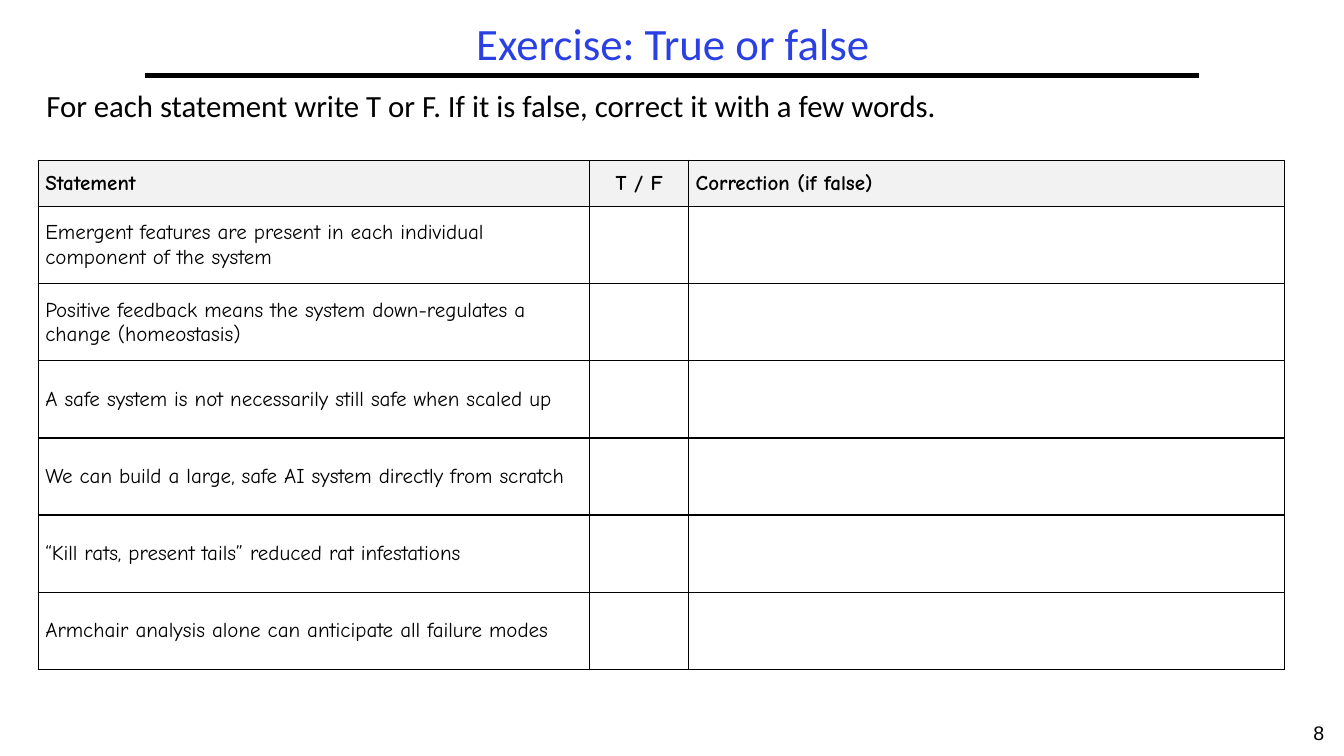
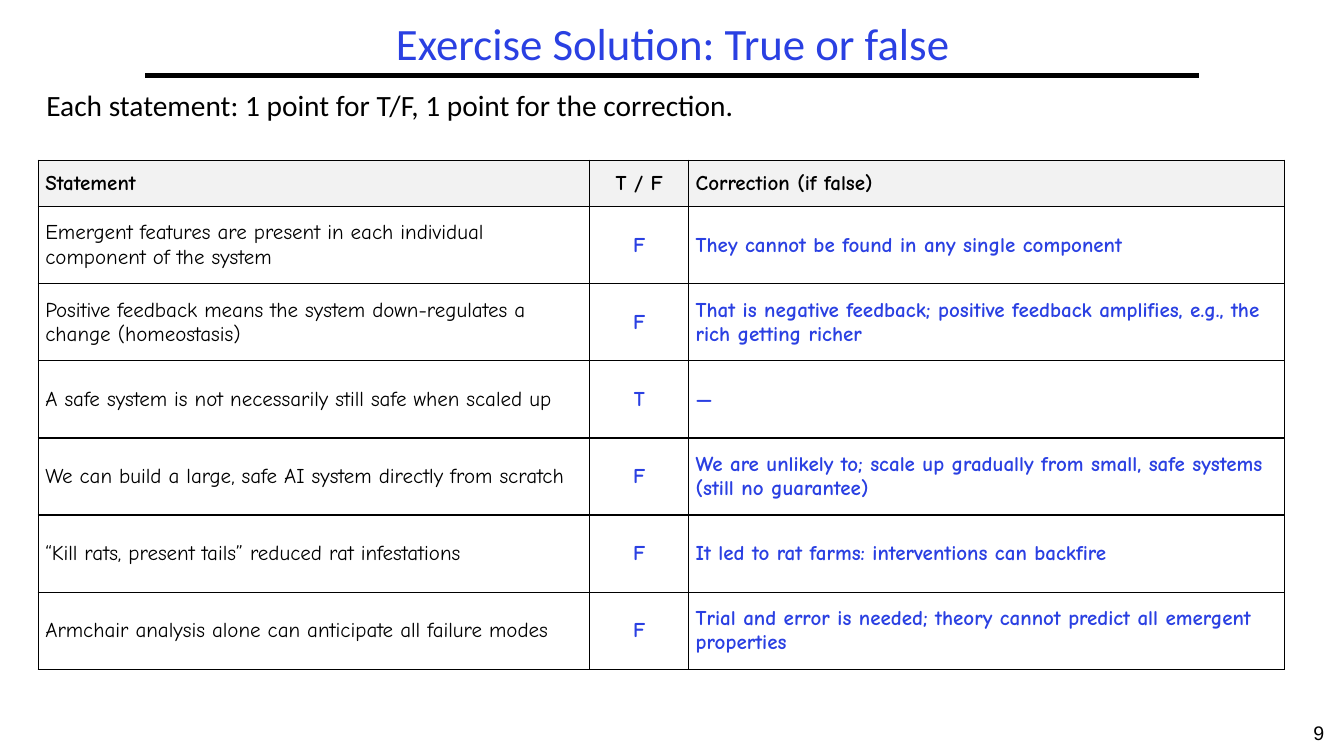
import pptx
import pptx.util
import pptx.dml.color
import pptx.enum.shapes
import pptx.enum.text
import pptx.oxml
import pptx.oxml.ns

BLUE = pptx.dml.color.RGBColor(0x2A, 0x40, 0xE2)
BLACK = pptx.dml.color.RGBColor(0, 0, 0)
WHITE = pptx.dml.color.RGBColor(255, 255, 255)
GREY = pptx.dml.color.RGBColor(0xF2, 0xF2, 0xF2)

WIDTH = pptx.util.Inches(13.33)
HEIGHT = pptx.util.Inches(7.5)
FIRST_NUMBER = 8
MIDDLE = pptx.enum.text.MSO_ANCHOR.MIDDLE
LEFT = pptx.enum.text.PP_ALIGN.LEFT
CENTER = pptx.enum.text.PP_ALIGN.CENTER

# Left, top, width and height in percent of the slide
TITLE_AREA = (10.8, 2.27, 78.54, 7.73)
BODY_AREA = (2.7, 11.33, 94.37, 9.73)
NUMBER_AREA = (96.25, 94.67, 3.75, 5.33)
TABLE_AREA = (2.85, 21.2, 92.73, 67.33)
RULE_LEFT, RULE_RIGHT, RULE_TOP = 10.8, 89.2, 10
COLUMN_SHARES = (41.04, 7.35, 44.34)
HEADER_SHARE = 6.13

HEADINGS = ("Statement", "T / F", "Correction (if false)")
EXERCISE = [
    ("Emergent features are present in each individual component of the system",
     "F", "They cannot be found in any single component"),
    ("Positive feedback means the system down-regulates a change (homeostasis)",
     "F", "That is negative feedback; positive feedback amplifies, e.g., the rich getting richer"),
    ("A safe system is not necessarily still safe when scaled up", "T", "—"),
    ("We can build a large, safe AI system directly from scratch",
     "F", "We are unlikely to; scale up gradually from small, safe systems (still no guarantee)"),
    ("“Kill rats, present tails” reduced rat infestations",
     "F", "It led to rat farms: interventions can backfire"),
    ("Armchair analysis alone can anticipate all failure modes",
     "F", "Trial and error is needed; theory cannot predict all emergent properties"),
]
# Title, instruction, instruction size, whether the answers show
PAGES = [
    ("Exercise: True or false",
     "For each statement write T or F. If it is false, correct it with a few words.", 22, False),
    ("Exercise Solution: True or false",
     "Each statement: 1 point for T/F, 1 point for the correction.", 21, True),
]


def to_lengths(area):
    """Turn percentages of the slide into left, top, width and height."""
    return [int(share * side / 100) for share, side in zip(area, (WIDTH, HEIGHT) * 2)]


def write(frame, text, face, size, color, align=LEFT, bold=False):
    """Fill a text frame with one formatted paragraph."""
    frame.text = text
    para = frame.paragraphs[0]
    para.alignment = align
    for span in para.runs:
        span.font.name = face
        span.font.size = pptx.util.Pt(size)
        span.font.color.rgb = color
        span.font.bold = bold
    return para


deck = pptx.Presentation()
deck.slide_width, deck.slide_height = WIDTH, HEIGHT
layout = deck.slide_layouts[1]
for box, area in zip(layout.placeholders, (TITLE_AREA, BODY_AREA)):
    box.left, box.top, box.width, box.height = to_lengths(area)

for number, (title, instruction, size, solved) in enumerate(PAGES, FIRST_NUMBER):
    page = deck.slides.add_slide(layout)

    rule_left, rule_top, rule_right, rule_bottom = to_lengths(
        (RULE_LEFT, RULE_TOP, RULE_RIGHT, RULE_TOP))
    rule = page.shapes.add_connector(
        pptx.enum.shapes.MSO_CONNECTOR.STRAIGHT, rule_left, rule_top, rule_right, rule_bottom)
    rule.line.color.rgb = BLACK
    rule.line.width = pptx.util.Pt(3)
    rule.element.spPr.append(pptx.oxml.parse_xml(
        f"<a:effectLst {pptx.oxml.ns.nsdecls('a')}/>"))

    number_box = page.shapes.add_textbox(*to_lengths(NUMBER_AREA))
    number_box.text_frame.word_wrap = True
    write(number_box.text_frame, str(number), "Arial", 14, BLACK, CENTER)

    title_frame = page.shapes.title.text_frame
    title_frame.vertical_anchor = MIDDLE
    title_para = write(title_frame, title, "Calibri", 32, BLUE, CENTER)

    body_frame = page.placeholders[1].text_frame
    body_para = write(body_frame, instruction, "Calibri", size, BLACK)
    body_para.space_before = pptx.util.Pt(0)
    for frame, para in ((title_frame, title_para), (body_frame, body_para)):
        frame.auto_size = pptx.enum.text.MSO_AUTO_SIZE.NONE
        para.line_spacing = 0.9
    body_format = body_para._p.get_or_add_pPr()
    body_format.set("marL", "0")
    body_format.set("indent", "0")
    body_format.append(pptx.oxml.parse_xml(f"<a:buNone {pptx.oxml.ns.nsdecls('a')}/>"))

    rows = [HEADINGS] + EXERCISE
    table = page.shapes.add_table(len(rows), len(HEADINGS), *to_lengths(TABLE_AREA)).table
    table.first_row = table.horz_banding = False
    for column, share in zip(table.columns, COLUMN_SHARES):
        column.width = int(WIDTH * share / 100)
    row_share = (TABLE_AREA[3] - HEADER_SHARE) / len(EXERCISE)

    for row_index, texts in enumerate(rows):
        is_header = row_index == 0
        table.rows[row_index].height = int(
            HEIGHT * (HEADER_SHARE if is_header else row_share) / 100)
        for column_index, text in enumerate(texts):
            is_answer = not is_header and column_index > 0
            cell = table.cell(row_index, column_index)
            cell.vertical_anchor = MIDDLE
            cell.margin_left = cell.margin_right = pptx.util.Inches(0.07)
            cell.margin_top = cell.margin_bottom = pptx.util.Inches(0.03)
            cell.fill.solid()
            cell.fill.fore_color.rgb = GREY if is_header else WHITE
            write(cell.text_frame, "" if is_answer and not solved else text,
                  "Comic Neue", 15, BLUE if is_answer else BLACK,
                  CENTER if column_index == 1 else LEFT, is_header or is_answer)
            cell_format = cell._tc.get_or_add_tcPr()
            for position, side in enumerate("LRTB"):
                cell_format.insert(position, pptx.oxml.parse_xml(
                    f'<a:ln{side} {pptx.oxml.ns.nsdecls("a")} w="{pptx.util.Pt(1)}">'
                    f'<a:solidFill><a:srgbClr val="{BLACK}"/></a:solidFill></a:ln{side}>'))

deck.save("out.pptx")
